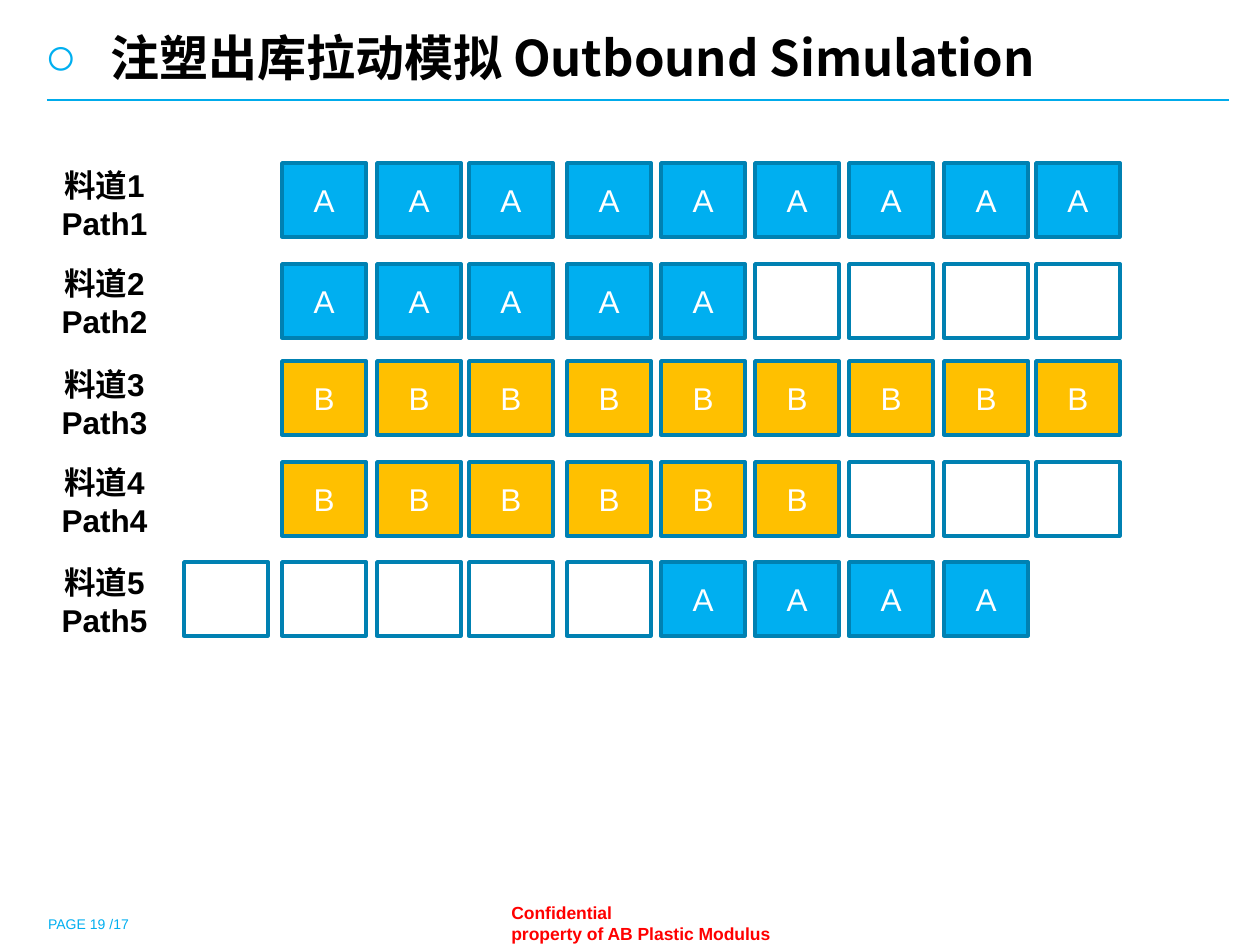
from dataclasses import dataclass

from lxml import etree
from pptx import Presentation
from pptx import util as u
from pptx.dml.color import RGBColor
from pptx.enum import shapes, text
from pptx.oxml import ns

SCALE = 914400 / 126


@dataclass(frozen=True)
class Theme:
    blue: str = "00AFF0"
    rule: str = "00ABEB"
    edge: str = "0081B2"
    gold: str = "FFC000"
    white: str = "FFFFFF"
    black: str = "000000"
    red: str = "FF0000"
    latin: str = "Arial"
    han: str = "Noto Sans CJK SC"
    title: int = 28
    body: int = 18
    note: int = 10
    page: int = 8


THEME = Theme()
FILLS = {"A": THEME.blue, "B": THEME.gold, " ": THEME.white}
COLS = [282, 377, 469, 567, 661, 755, 849, 944, 1036]
ENTRY = 184
BOX = (84, 74)
# box top, label top, box columns, load of each box
LANES = [
    (163, 160, COLS, "AAAAAAAAA"),
    (264, 258, COLS, "AAAAA    "),
    (361, 359, COLS, "BBBBBBBBB"),
    (462, 457, COLS, "BBBBBB   "),
    (562, 557, [ENTRY] + COLS[:8], "     AAAA"),
]


def px(n):
    return u.Emu(round(n * SCALE))


def rgb(code):
    return RGBColor.from_string(code)


def write(para, words, size, color, bold=False, latin=THEME.latin):
    run = para.add_run()
    run.text = words
    font = run.font
    font.size, font.bold, font.name = u.Pt(size), bold, latin
    font.color.rgb = rgb(color)
    east = etree.Element(ns.qn("a:ea"), typeface=THEME.han)
    font._element.find(ns.qn("a:latin")).addnext(east)


def add_ring(para, indent):
    """Give the paragraph a hanging ring bullet."""
    props = para._p.get_or_add_pPr()
    props.set("marL", str(px(indent)))
    props.set("indent", str(-px(indent)))
    color = etree.SubElement(props, ns.qn("a:buClr"))
    etree.SubElement(color, ns.qn("a:srgbClr"), val=THEME.blue)
    etree.SubElement(props, ns.qn("a:buSzPct"), val="110000")
    etree.SubElement(props, ns.qn("a:buFont"), typeface=THEME.latin)
    etree.SubElement(props, ns.qn("a:buChar"), char="○")


def set_title(slide, words):
    head = slide.shapes.title
    head.left, head.top, head.width, head.height = map(px, (32, 21, 1217, 59))
    frame = head.text_frame
    frame.word_wrap = True
    frame.auto_size = text.MSO_AUTO_SIZE.NONE
    frame.vertical_anchor = text.MSO_ANCHOR.TOP
    para = frame.paragraphs[0]
    para.alignment = text.PP_ALIGN.LEFT
    add_ring(para, 66)
    write(para, words, THEME.title, THEME.black, True, THEME.han)


def add_rule(slide):
    line = slide.shapes.add_connector(
        shapes.MSO_CONNECTOR.STRAIGHT, *map(px, (47, 100, 1229, 100)))
    line.line.color.rgb = rgb(THEME.rule)
    line.line.width = u.Pt(0.75)
    etree.SubElement(line._element.spPr, ns.qn("a:effectLst"))


def add_text(slide, *area):
    frame = slide.shapes.add_textbox(*map(px, area)).text_frame
    frame.word_wrap = True
    return frame


def add_label(slide, top, num):
    frame = add_text(slide, 25, top, 159, 89)
    for para, word in ((frame.paragraphs[0], "料道"),
                       (frame.add_paragraph(), "Path")):
        para.alignment = text.PP_ALIGN.CENTER
        write(para, f"{word}{num}", THEME.body, THEME.black, True)


def add_box(slide, left, top, load):
    box = slide.shapes.add_shape(
        shapes.MSO_SHAPE.RECTANGLE, *map(px, (left, top, *BOX)))
    box.shadow.inherit = False
    box.fill.solid()
    box.fill.fore_color.rgb = rgb(FILLS[load])
    box.line.color.rgb = rgb(THEME.edge)
    box.line.width = u.Pt(2)
    if load.strip():
        frame = box.text_frame
        frame.vertical_anchor = text.MSO_ANCHOR.MIDDLE
        para = frame.paragraphs[0]
        para.alignment = text.PP_ALIGN.CENTER
        write(para, load, THEME.body, THEME.white)


def add_lanes(slide):
    for num, (top, label, cols, loads) in enumerate(LANES, 1):
        for left, load in zip(cols, loads):
            add_box(slide, left, top, load)
        add_label(slide, label, num)


def add_foot(slide):
    para = add_text(slide, 499, 896, 289, 54).paragraphs[0]
    write(para, "Confidential", THEME.note, THEME.red, True)
    para.add_line_break()
    write(para, "property of AB Plastic Modulus", THEME.note, THEME.red, True)

    frame = add_text(slide, 48, 901, 1012, 31)
    frame.margin_left = frame.margin_right = 0
    frame.margin_top = frame.margin_bottom = 0
    frame.vertical_anchor = text.MSO_ANCHOR.BOTTOM
    write(frame.paragraphs[0], "PAGE 19 /17", THEME.page, THEME.blue)


def main():
    deck = Presentation()
    deck.slide_width, deck.slide_height = px(1260), px(945)
    slide = deck.slides.add_slide(deck.slide_layouts[5])
    fill = slide.background.fill
    fill.solid()
    fill.fore_color.rgb = rgb(THEME.white)
    set_title(slide, "注塑出库拉动模拟 Outbound Simulation")
    add_rule(slide)
    add_lanes(slide)
    add_foot(slide)
    deck.save("out.pptx")


if __name__ == "__main__":
    main()
